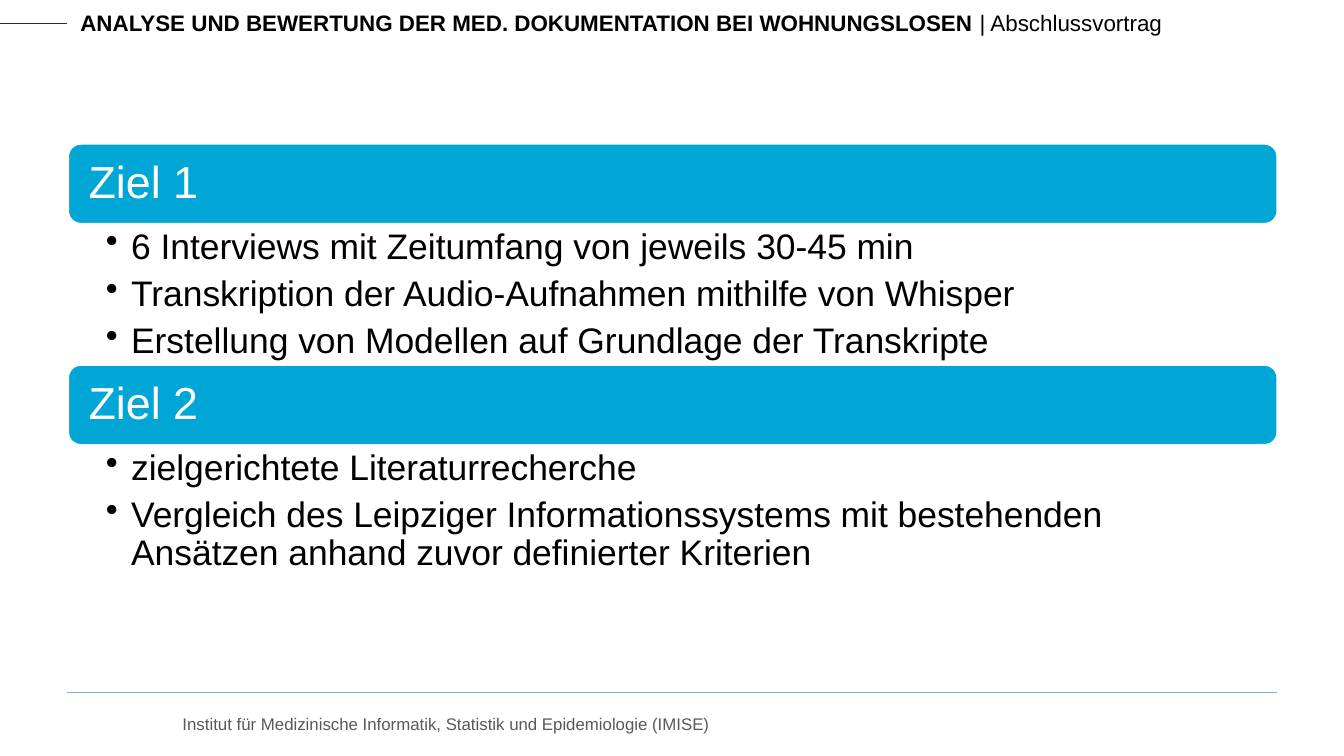
from dataclasses import dataclass

from lxml import etree
from pptx import Presentation
from pptx import util as u
from pptx.dml.color import RGBColor
from pptx.enum import shapes, text
from pptx.oxml import ns

FONT = "Arial"
BLACK = RGBColor(0x00, 0x00, 0x00)
WHITE = RGBColor(0xFF, 0xFF, 0xFF)
GREY = RGBColor(0x59, 0x59, 0x59)
CYAN = RGBColor(0x00, 0xA7, 0xD6)
HEADER_RULE = RGBColor(0x26, 0x2A, 0x31)
FOOTER_RULE = RGBColor(0x79, 0xB2, 0xD4)

LEFT = u.Cm(1.27)
GOAL_WIDTH = u.Cm(22.89)
BAR_HEIGHT = u.Cm(1.55)
INDENT = u.Cm(0.48)


@dataclass(frozen=True)
class Goal:
    title: str
    top: u.Length
    tasks_height: u.Length
    tasks: tuple[str, ...]


GOALS = (
    Goal("Ziel 1", u.Cm(2.7), u.Cm(2.62), (
        "6 Interviews mit Zeitumfang von jeweils 30-45 min",
        "Transkription der Audio-Aufnahmen mithilfe von Whisper",
        "Erstellung von Modellen auf Grundlage der Transkripte",
    )),
    Goal("Ziel 2", u.Cm(6.88), u.Cm(2.41), (
        "zielgerichtete Literaturrecherche",
        "Vergleich des Leipziger Informationssystems mit bestehenden "
        "Ansätzen anhand zuvor definierter Kriterien",
    )),
)


def style(run, size: float, color: RGBColor, bold: bool = False) -> None:
    run.font.name = FONT
    run.font.size = u.Pt(size)
    run.font.color.rgb = color
    run.font.bold = bold


def draw_rule(slide, start: u.Length, end: u.Length, y: u.Length, color: RGBColor) -> None:
    rule = slide.shapes.add_connector(shapes.MSO_CONNECTOR.STRAIGHT, start, y, end, y)
    rule.line.color.rgb = color
    rule.line.width = u.Pt(0.25)
    etree.SubElement(rule.element.spPr, ns.qn("a:effectLst"))


def add_caption(slide, left: u.Length, top: u.Length, width: u.Length, height: u.Length):
    caption = slide.shapes.add_textbox(left, top, width, height)
    caption.text_frame.word_wrap = True
    return caption.text_frame.paragraphs[0]


def add_bullet(paragraph) -> None:
    properties = paragraph._p.get_or_add_pPr()
    properties.set("marL", str(INDENT))
    properties.set("indent", str(-INDENT))
    etree.SubElement(properties, ns.qn("a:buChar")).set("char", "•")


def draw_bar(slide, goal: Goal) -> None:
    bar = slide.shapes.add_shape(
        shapes.MSO_SHAPE.ROUNDED_RECTANGLE, LEFT, goal.top, GOAL_WIDTH, BAR_HEIGHT)
    bar.shadow.inherit = False
    bar.fill.solid()
    bar.fill.fore_color.rgb = CYAN
    bar.line.color.rgb = WHITE
    bar.line.width = u.Pt(2)
    frame = bar.text_frame
    frame.text = goal.title
    frame.margin_left = frame.margin_right = u.Cm(0.33)
    frame.vertical_anchor = text.MSO_ANCHOR.MIDDLE
    title = frame.paragraphs[0]
    title.alignment = text.PP_ALIGN.LEFT
    title.line_spacing = 0.9
    style(title.runs[0], 24, WHITE)


def draw_tasks(slide, goal: Goal) -> None:
    tasks = slide.shapes.add_textbox(
        LEFT, goal.top + BAR_HEIGHT, GOAL_WIDTH, goal.tasks_height)
    frame = tasks.text_frame
    frame.word_wrap = True
    frame.margin_left, frame.margin_right = u.Cm(0.73), INDENT
    frame.margin_top = frame.margin_bottom = u.Cm(0.07)
    frame.text = "\n".join(goal.tasks)
    for task in frame.paragraphs:
        add_bullet(task)
        task.level = 1
        task.line_spacing = 0.9
        task.space_after = u.Pt(4.8)
        style(task.runs[0], 19, BLACK)


def main() -> None:
    deck = Presentation()
    deck.slide_width, deck.slide_height = u.Cm(25.4), u.Cm(14.29)
    slide = deck.slides.add_slide(deck.slide_layouts[6])

    draw_rule(slide, u.Cm(0), LEFT, u.Cm(0.44), HEADER_RULE)
    draw_rule(slide, LEFT, deck.slide_width - LEFT, u.Cm(13.09), FOOTER_RULE)

    institute = add_caption(slide, u.Cm(3.2), u.Cm(13.36), u.Cm(18.85), u.Cm(0.64))
    institute.text = "Institut für Medizinische Informatik, Statistik und Epidemiologie (IMISE)"
    style(institute.runs[0], 9, GREY)

    header = add_caption(slide, LEFT, u.Cm(0.05), u.Cm(21.39), u.Cm(0.76))
    header.text = "ANALYSE UND BEWERTUNG DER MED. DOKUMENTATION BEI WOHNUNGSLOSEN "
    style(header.runs[0], 12, BLACK, bold=True)
    occasion = header.add_run()
    occasion.text = "| Abschlussvortrag"
    style(occasion, 12, BLACK)

    for goal in GOALS:
        draw_bar(slide, goal)
        draw_tasks(slide, goal)

    deck.save("out.pptx")


if __name__ == "__main__":
    main()
